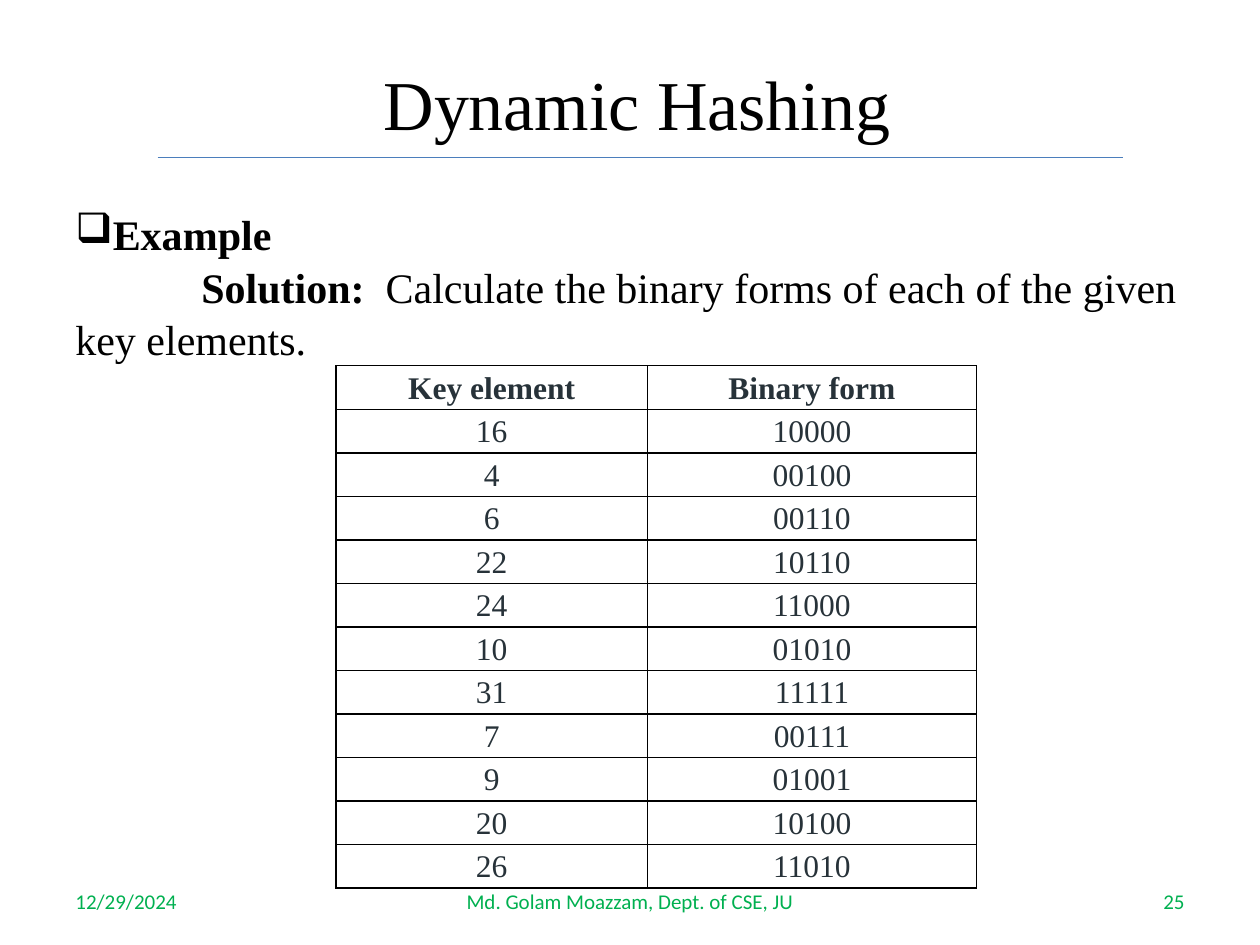
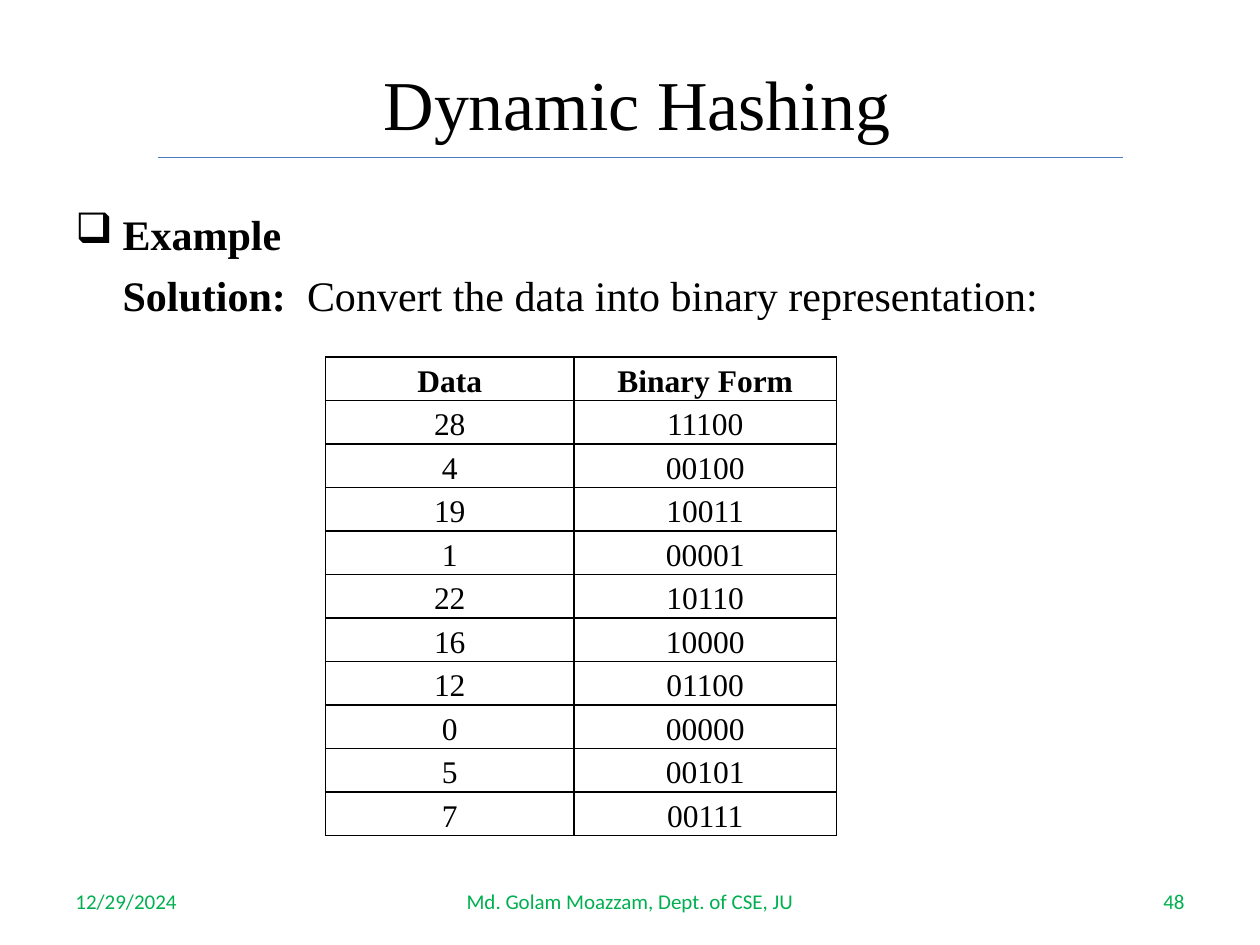
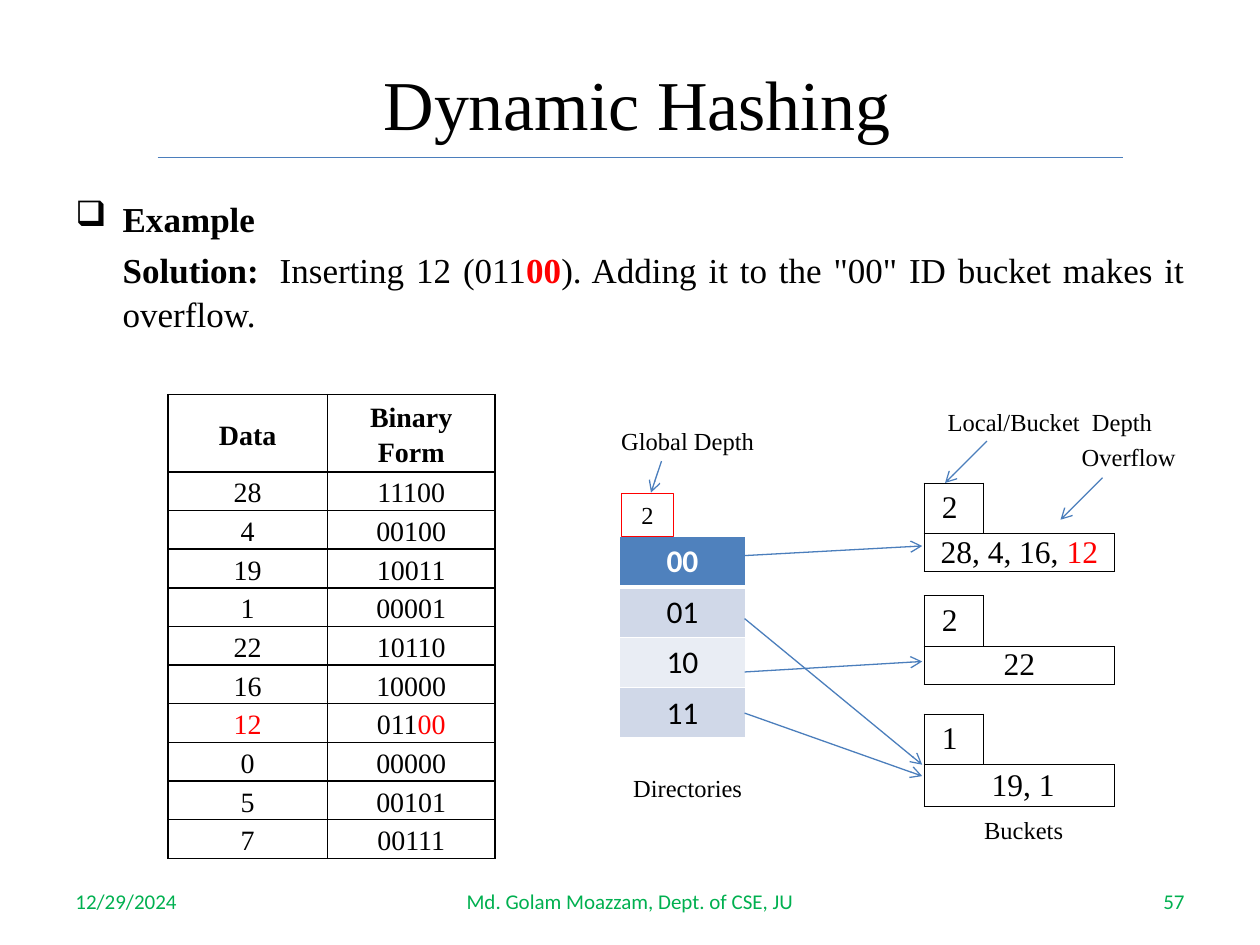
from lxml import etree
from pptx import Presentation
from pptx.dml.color import RGBColor
from pptx.enum.shapes import MSO_CONNECTOR, MSO_SHAPE
from pptx.enum.text import MSO_ANCHOR, PP_ALIGN
from pptx.oxml.ns import qn
from pptx.util import Pt

LEFT, CENTER, RIGHT = PP_ALIGN.LEFT, PP_ALIGN.CENTER, PP_ALIGN.RIGHT
JUSTIFY = PP_ALIGN.JUSTIFY
TOP, MIDDLE = MSO_ANCHOR.TOP, MSO_ANCHOR.MIDDLE
STRAIGHT, RECTANGLE = MSO_CONNECTOR.STRAIGHT, MSO_SHAPE.RECTANGLE
TITLE_ONLY = 5

COLORS = {
    "black": "000000", "white": "FFFFFF", "red": "FF0000", "green": "00B050",
    "slate": "273239", "line": "4B7EBC", "header": "4F81BD",
    "band_dark": "D0D8E8", "band_light": "E9EDF4",
}
SERIF, SANS = "Times New Roman", "Calibri"
RED = {"color": "red"}
BOLD = {"bold": True}

KEYS = [16, 4, 6, 22, 24, 10, 31, 7, 9, 20, 26]
DATA = [28, 4, 19, 1, 22, 16, 12, 0, 5, 7]
INSERTED = 12


def rgb(name):
    return RGBColor.from_string(COLORS[name])


def text_format(size, color="black", name=SERIF, bold=False):
    return {"size": Pt(size), "color": color, "name": name, "bold": bold}


# Text: content is a string or a list of (text, format changes) runs
def fill_paragraph(paragraph, content, base, alignment=CENTER):
    paragraph.alignment = alignment
    runs = [(content, {})] if isinstance(content, str) else content
    for text, changes in runs:
        run = paragraph.add_run()
        run.text = text
        for key, value in {**base, **changes}.items():
            if key == "color":
                run.font.color.rgb = rgb(value)
            else:
                setattr(run.font, key, value)


def add_text(slide, box, content, base, alignment=CENTER, anchor=TOP):
    frame = slide.shapes.add_textbox(*map(Pt, box)).text_frame
    frame.word_wrap = True
    frame.vertical_anchor = anchor
    fill_paragraph(frame.paragraphs[0], content, base, alignment)
    return frame


def set_indent(paragraph, margin, indent):
    properties = paragraph._p.get_or_add_pPr()
    properties.set("marL", str(Pt(margin)))
    properties.set("indent", str(Pt(indent)))
    return properties


def add_body(slide, top, size, solution, hanging=True):
    """Bulleted 'Example' heading with the solution paragraph below."""
    base = text_format(size)
    margin = 27 if hanging else 0
    frame = add_text(slide, (36, top, 648, 356), [("Example", BOLD)], base, JUSTIFY)
    heading = frame.paragraphs[0]
    properties = set_indent(heading, margin, -margin)
    etree.SubElement(properties, qn("a:buChar")).set("char", "❑")

    paragraph = frame.add_paragraph()
    set_indent(paragraph, margin, 0 if hanging else 72)
    fill_paragraph(paragraph, [("Solution:\u00a0 ", BOLD)] + solution, base,
                   JUSTIFY if hanging else LEFT)
    if hanging:
        paragraph.space_before = Pt(size * 0.2)
    for item in frame.paragraphs:
        item.line_spacing = 1.05


# Lines
def add_line(slide, start, end, arrow=False):
    connector = slide.shapes.add_connector(STRAIGHT, *map(Pt, start + end))
    connector.line.color.rgb = rgb("line")
    connector.line.width = Pt(0.75)
    if arrow:
        line = connector.line._get_or_add_ln()
        etree.SubElement(line, qn("a:tailEnd")).set("type", "arrow")
    etree.SubElement(connector._element.spPr, qn("a:effectLst"))


# Tables
def set_borders(cell, sides, color="black", width=1):
    properties = cell._tc.get_or_add_tcPr()
    for side in "LRTB":
        line = etree.SubElement(properties, qn("a:ln" + side), w=str(Pt(width)))
        if side in sides:
            fill = etree.SubElement(line, qn("a:solidFill"))
            etree.SubElement(fill, qn("a:srgbClr")).set("val", COLORS[color])
        else:
            etree.SubElement(line, qn("a:noFill"))


def add_grid(slide, left, top, widths, heights):
    box = map(Pt, (left, top, sum(widths), sum(heights)))
    table = slide.shapes.add_table(len(heights), len(widths), *box).table
    table.first_row = table.horz_banding = False
    for column, width in zip(table.columns, widths):
        column.width = Pt(width)
    for row, height in zip(table.rows, heights):
        row.height = Pt(height)
    return table


def format_cell(cell, content, base, margin=0.0, anchor=MIDDLE, spacing=None):
    cell.margin_left = cell.margin_right = Pt(margin)
    cell.margin_top = cell.margin_bottom = 0
    cell.vertical_anchor = anchor
    paragraph = cell.text_frame.paragraphs[0]
    paragraph.line_spacing = spacing
    fill_paragraph(paragraph, content, base)


def add_binary_table(slide, position, widths, heights, headings, numbers, base,
                     anchor=MIDDLE, highlight=None):
    """Numbers beside their five-digit binary forms."""
    rows = [[[(heading, BOLD)] for heading in headings]]
    for number in numbers:
        binary = f"{number:05b}"
        if number == highlight:
            rows.append([[(str(number), RED)], [(binary[:3], {}), (binary[3:], RED)]])
        else:
            rows.append([str(number), binary])
    heights = heights[:1] + heights[1:] * len(numbers)
    table = add_grid(slide, *position, widths, heights)
    for row, contents in zip(table.rows, rows):
        for cell, content in zip(row.cells, contents):
            set_borders(cell, "LRTB")
            cell.fill.background()
            format_cell(cell, content, base, 5, anchor, 1.15)


def add_bucket(slide, top, row_height, depth, content):
    """Small local-depth cell on top of a wide cell of keys."""
    table = add_grid(slide, 528, top, [34, 37.5, 37.5], [row_height] * 2)
    base = text_format(18)
    for column, sides in enumerate(("LRTB", "LB", "B")):
        for row, row_sides in enumerate((sides, "LRTB")):
            cell = table.cell(row, column)
            set_borders(cell, row_sides, width=0.5)
            cell.fill.background()
    table.cell(1, 0).merge(table.cell(1, 2))
    format_cell(table.cell(0, 0), depth + "\u00a0", base)
    format_cell(table.cell(1, 0), content, base)


def add_directory(slide):
    fills = ["header", "band_dark", "band_light", "band_dark"]
    table = add_grid(slide, 354, 306.5, [72], [28.8] * len(fills))
    for index, fill in enumerate(fills):
        cell = table.cell(index, 0)
        set_borders(cell, "LRT" if index == 0 else "LRTB", "white")
        if index == 0:
            bottom = cell._tc.tcPr.find(qn("a:lnB"))
            cell._tc.tcPr.remove(bottom)
            thick = etree.SubElement(cell._tc.tcPr, qn("a:lnB"), w=str(Pt(3)))
            solid = etree.SubElement(thick, qn("a:solidFill"))
            etree.SubElement(solid, qn("a:srgbClr")).set("val", COLORS["white"])
        cell.fill.solid()
        cell.fill.fore_color.rgb = rgb(fill)
        base = text_format(18, "black" if index else "white", SANS, index == 0)
        fill_paragraph(cell.text_frame.paragraphs[0], f"{index:02b}", base)


def add_global_depth(slide):
    shape = slide.shapes.add_shape(RECTANGLE, *map(Pt, (355, 282, 30, 24.5)))
    shape.shadow.inherit = False
    shape.fill.background()
    shape.line.color.rgb = rgb("red")
    shape.line.width = Pt(0.75)
    shape.text_frame.vertical_anchor = MIDDLE
    fill_paragraph(shape.text_frame.paragraphs[0], "2", text_format(14))


# Shared frame: title, rule and footers
def add_slide(presentation, number):
    slide = presentation.slides.add_slide(presentation.slide_layouts[TITLE_ONLY])
    title = slide.shapes.title
    title.left, title.top, title.width, title.height = map(Pt, (96, 27, 546, 63))
    title.text_frame.vertical_anchor = MIDDLE
    fill_paragraph(title.text_frame.paragraphs[0], "Dynamic Hashing ", text_format(40))
    add_line(slide, (90, 90), (642, 90))
    footers = [
        (36, 168, "12/29/2024", LEFT),
        (246, 228, "Md. Golam Moazzam, Dept. of CSE, JU", CENTER),
        (516, 168, str(number), RIGHT),
    ]
    for left, width, text, alignment in footers:
        add_text(slide, (left, 500.5, width, 28.8), text,
                 text_format(12, "green", SANS), alignment, MIDDLE)
    return slide


def build_key_slide(presentation):
    slide = add_slide(presentation, 25)
    add_body(slide, 114, 24, [
        ("Calculate the binary forms of each of the given key elements.", {})], False)
    add_binary_table(slide, (192, 209), [178, 188], [24, 24],
                     ["Key element", "Binary form"], KEYS,
                     text_format(18, "slate"), TOP)


def build_data_slide(presentation):
    slide = add_slide(presentation, 48)
    add_body(slide, 114, 24, [("Convert the data into binary representation:", {})])
    add_binary_table(slide, (186, 204), [142, 150], [24.5, 24.5],
                     ["Data", "Binary Form"], DATA, text_format(18))


def build_overflow_slide(presentation):
    slide = add_slide(presentation, 57)
    add_body(slide, 108, 20, [
        ("Inserting 12 (011", {}), ("00", {**RED, **BOLD}),
        ('). Adding it to the "00" ID bucket makes it overflow.', {})])
    add_binary_table(slide, (96, 225.5), [91, 96], [41, 20.4],
                     ["Data", "Binary Form"], DATA, text_format(16),
                     highlight=INSERTED)

    # Directory and buckets
    add_directory(slide)
    add_global_depth(slide)
    add_bucket(slide, 276, 21, "2", [("28, 4, 16,", {}), (" 12", RED)])
    add_bucket(slide, 340.5, 21.6, "2", "22")
    add_bucket(slide, 408, 24, "1", "\u00a019, 1")

    labels = [
        (342, 240, 102, "Global Depth"),
        (342, 438, 102, "Directories"),
        (534, 462, 102, "Buckets"),
        (534, 229, 132, "Local/Bucket  Depth"),
        (600, 249, 90, "Overflow"),
    ]
    for left, top, width, text in labels:
        add_text(slide, (left, top, width, 24.5), text, text_format(14))

    # Label pointers, then directory entries to buckets
    arrows = [
        ((378, 263.5), (372, 281.5)),
        ((564, 252), (540, 276)),
        ((630, 273), (606, 297)),
    ]
    for start, end in ((317.5, 312), (353.5, 437), (384, 378), (407.5, 443.5)):
        arrows.append(((425.5, start), (527, end)))
    for start, end in arrows:
        add_line(slide, start, end, arrow=True)


def main():
    presentation = Presentation()
    presentation.slide_width, presentation.slide_height = Pt(720), Pt(540)
    build_key_slide(presentation)
    build_data_slide(presentation)
    build_overflow_slide(presentation)
    presentation.save("out.pptx")


if __name__ == "__main__":
    main()
